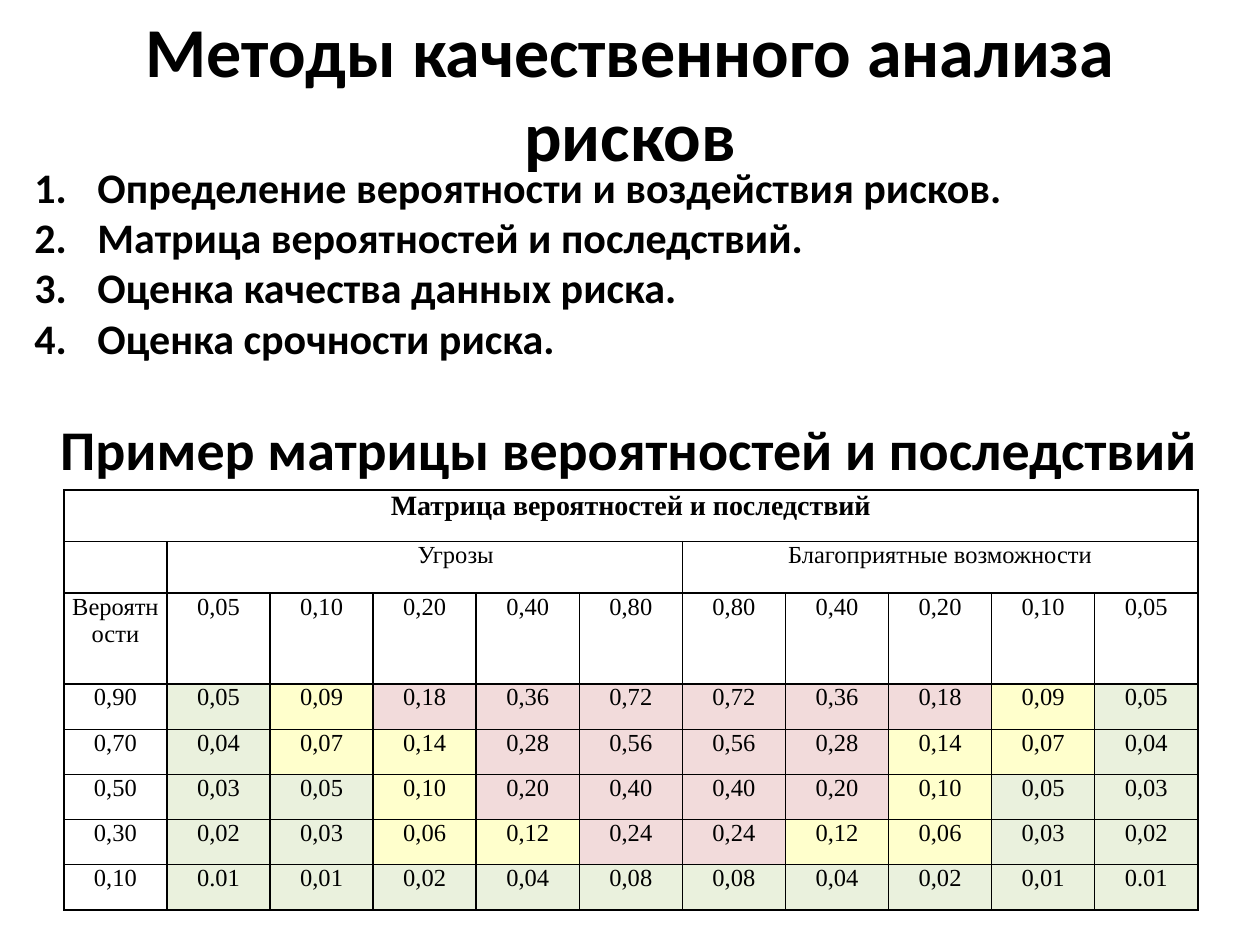
from dataclasses import dataclass

from lxml.etree import SubElement
from pptx import Presentation
from pptx.dml.color import RGBColor
from pptx.enum.text import MSO_ANCHOR, MSO_AUTO_SIZE, PP_ALIGN
from pptx.oxml.ns import qn
from pptx.util import Pt


@dataclass(frozen=True)
class Theme:
    heading_font: str = "Calibri"
    table_font: str = "Times New Roman"
    ink: str = "000000"
    paper: str = "FFFFFF"
    low: str = "EAF1DD"
    medium: str = "FFFFCC"
    high: str = "F2DBDB"
    title_size: int = 40
    subtitle_size: int = 32
    list_size: int = 24
    table_title_size: int = 16
    table_size: int = 14
    border: int = 1


THEME = Theme()

# Content
TITLE = "Методы качественного анализа рисков"
METHODS = [
    "Определение вероятности и воздействия рисков.",
    "Матрица вероятностей и последствий.",
    "Оценка качества данных риска.",
    "Оценка срочности риска.",
]
SUBTITLE = "Пример матрицы вероятностей и последствий"
TABLE_TITLE = "Матрица вероятностей и последствий"
THREATS, CHANCES = "Угрозы", "Благоприятные возможности"
CORNER = "Вероятности"
IMPACTS = ["0,05", "0,10", "0,20", "0,40", "0,80"]
# Probability, threat scores and their zones; opportunities mirror the threats
SCORES = [
    ("0,90", ["0,05", "0,09", "0,18", "0,36", "0,72"], "LMHHH"),
    ("0,70", ["0,04", "0,07", "0,14", "0,28", "0,56"], "LMMHH"),
    ("0,50", ["0,03", "0,05", "0,10", "0,20", "0,40"], "LLMHH"),
    ("0,30", ["0,02", "0,03", "0,06", "0,12", "0,24"], "LLMMH"),
    ("0,10", ["0.01", "0,01", "0,02", "0,04", "0,08"], "LLLLL"),
]
ZONES = {"L": THEME.low, "M": THEME.medium, "H": THEME.high}

# Layout in points: left, top, width, height
TITLE_AREA = (40, 0, 640, 104.5)
BODY_AREA = (12.5, 88.5, 694, 191.5)
TABLE_AREA = (36.5, 280, 648, 240)
ROW_HEIGHTS = [29.5, 29.5, 52] + [25.8] * len(SCORES)
LIST_INDENT = 36
THREATS_INDENT = 35.5
SUBTITLE_GAP = 29.3
CELL_INSET = 4.3


def add_span(para, text, font, size, bold):
    span = para.add_run()
    span.text = text
    span.font.name = font
    span.font.size = Pt(size)
    span.font.bold = bold
    span.font.color.rgb = RGBColor.from_string(THEME.ink)


def place(box, area, anchor):
    box.left, box.top, box.width, box.height = map(Pt, area)
    frame = box.text_frame
    frame.word_wrap = True
    frame.auto_size = MSO_AUTO_SIZE.NONE
    frame.vertical_anchor = anchor
    return frame


def set_bullet(para, indent, numbered):
    props = para._p.get_or_add_pPr()
    props.set("marL", str(Pt(indent)))
    props.set("indent", str(-Pt(indent)))
    if numbered:
        SubElement(props, qn("a:buFont"), typeface="+mj-lt")
        SubElement(props, qn("a:buAutoNum"), type="arabicPeriod")
    else:
        SubElement(props, qn("a:buNone"))


def style_cell(cell, color):
    cell.margin_left = cell.margin_right = Pt(CELL_INSET)
    cell.margin_top = cell.margin_bottom = 0
    props = cell._tc.get_or_add_tcPr()
    for side in ("a:lnL", "a:lnR", "a:lnT", "a:lnB"):
        line = SubElement(props, qn(side), w=str(Pt(THEME.border)))
        SubElement(SubElement(line, qn("a:solidFill")), qn("a:srgbClr"), val=THEME.ink)
    cell.fill.solid()
    cell.fill.fore_color.rgb = RGBColor.from_string(color)


def write_cell(cell, text, size=THEME.table_size, bold=False):
    para = cell.text_frame.paragraphs[0]
    para.alignment = PP_ALIGN.CENTER
    add_span(para, text, THEME.table_font, size, bold)
    return para


def mirrored(items):
    return list(items) + list(items)[::-1]


def add_methods(frame):
    for index, text in enumerate(METHODS + [SUBTITLE]):
        para = frame.paragraphs[0] if index == 0 else frame.add_paragraph()
        numbered = index < len(METHODS)
        para.line_spacing = 1.0
        para.space_before = Pt(0 if numbered else SUBTITLE_GAP)
        para.alignment = PP_ALIGN.LEFT if numbered else PP_ALIGN.CENTER
        set_bullet(para, LIST_INDENT if numbered else 0, numbered)
        size = THEME.list_size if numbered else THEME.subtitle_size
        add_span(para, text, THEME.heading_font, size, True)


def add_matrix(page):
    half = len(IMPACTS)
    column_count = 1 + 2 * half
    table = page.shapes.add_table(len(ROW_HEIGHTS), column_count, *map(Pt, TABLE_AREA)).table
    table.first_row = table.horz_banding = False
    for column in table.columns:
        column.width = Pt(TABLE_AREA[2] / column_count)
    for row, height in zip(table.rows, ROW_HEIGHTS):
        row.height = Pt(height)

    # Zone colours and borders
    white_row = [THEME.paper] * column_count
    score_rows = [[THEME.paper] + [ZONES[zone] for zone in mirrored(zones)]
                  for _, _, zones in SCORES]
    for row, colors in zip(table.rows, [white_row] * 3 + score_rows):
        for cell, color in zip(row.cells, colors):
            style_cell(cell, color)

    # Merged headings
    table.cell(0, 0).merge(table.cell(0, column_count - 1))
    write_cell(table.cell(0, 0), TABLE_TITLE, THEME.table_title_size, True)
    for start, text in ((1, THREATS), (1 + half, CHANCES)):
        table.cell(1, start).merge(table.cell(1, start + half - 1))
        para = write_cell(table.cell(1, start), text)
        if text == THREATS:
            para._p.get_or_add_pPr().set("marL", str(Pt(THREATS_INDENT)))

    # Impact scale and scores
    lines = [(CORNER, IMPACTS)] + [(chance, scores) for chance, scores, _ in SCORES]
    for row_index, (label, values) in enumerate(lines, start=2):
        for column_index, text in enumerate([label] + mirrored(values)):
            write_cell(table.cell(row_index, column_index), text)


def main():
    deck = Presentation()
    deck.slide_width, deck.slide_height = Pt(720), Pt(540)
    page = deck.slides.add_slide(deck.slide_layouts[1])

    # Title
    title = place(page.shapes.title, TITLE_AREA, MSO_ANCHOR.MIDDLE).paragraphs[0]
    title.alignment = PP_ALIGN.CENTER
    add_span(title, TITLE, THEME.heading_font, THEME.title_size, True)

    # Numbered methods and matrix heading
    add_methods(place(page.placeholders[1], BODY_AREA, MSO_ANCHOR.TOP))

    # Probability and impact matrix
    add_matrix(page)
    deck.save("out.pptx")


if __name__ == "__main__":
    main()
